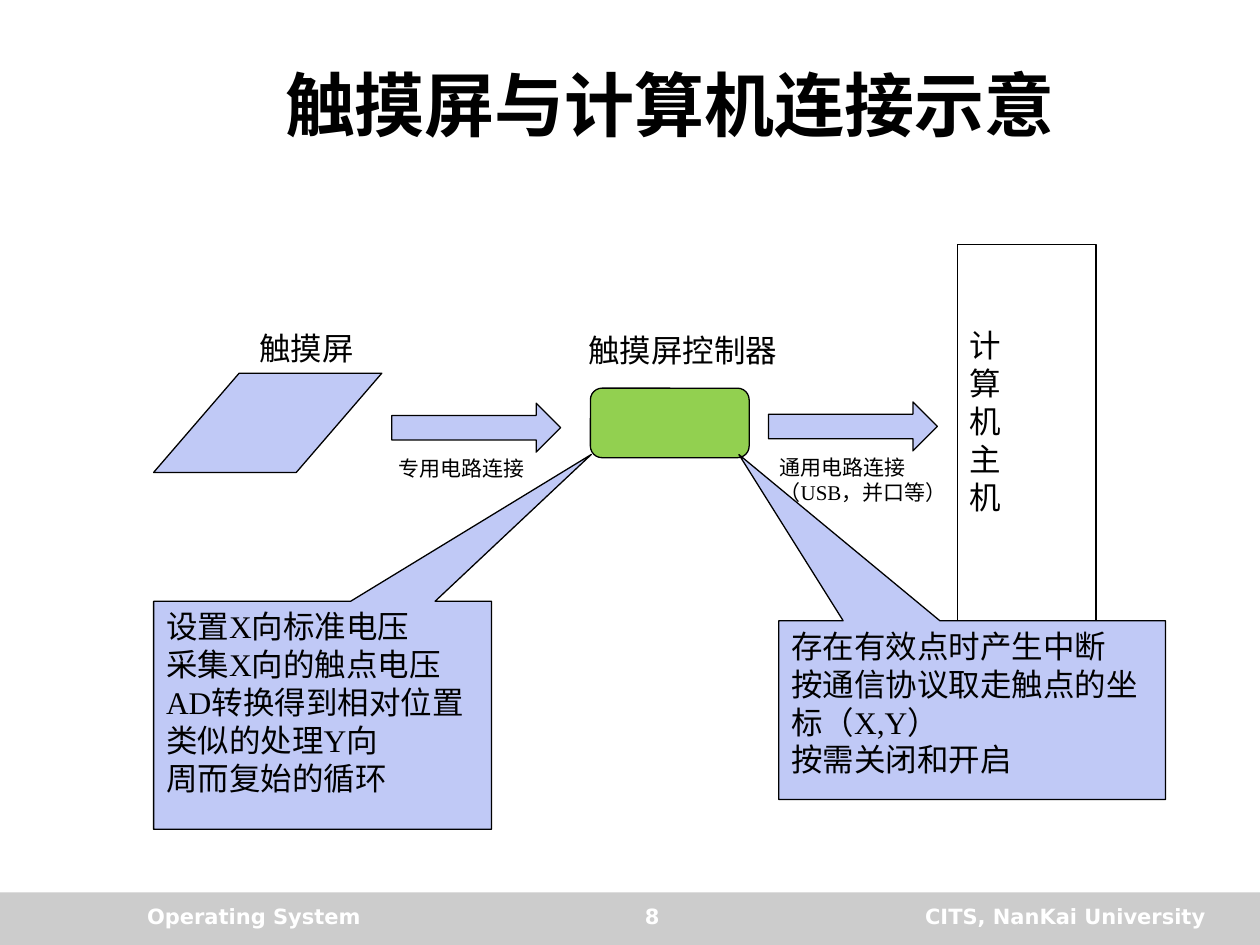
from pptx import Presentation
from pptx.dml.color import RGBColor
from pptx.enum.shapes import MSO_SHAPE as Shape
from pptx.enum.text import MSO_ANCHOR as Anchor, PP_ALIGN as Align
from pptx.util import Pt

BLACK = RGBColor(0x00, 0x00, 0x00)
WHITE = RGBColor(0xFF, 0xFF, 0xFF)
GREY = RGBColor(0xCC, 0xCC, 0xCC)
LILAC = RGBColor(0xC0, 0xC9, 0xF6)
GREEN = RGBColor(0x92, 0xD0, 0x50)
SERIF = "Times New Roman"
SANS = "DejaVu Sans"


class Diagram:
    """Draws styled elements on one slide; all lengths are in points."""

    def __init__(self, slide):
        self.s = slide

    def set_text(self, sp, lines, size, font=SERIF, color=BLACK, bold=False,
                 align=Align.LEFT, anchor=Anchor.TOP):
        tf = sp.text_frame
        tf.word_wrap = True
        tf.vertical_anchor = anchor
        tf.text = "\n".join(lines)
        for p in tf.paragraphs:
            p.alignment = align
            for r in p.runs:
                r.font.name, r.font.size, r.font.bold = font, Pt(size), bold
                r.font.color.rgb = color

    def text(self, box, lines, size=18, **style):
        sp = self.s.shapes.add_textbox(*map(Pt, box))
        self.set_text(sp, lines, size, **style)

    def shape(self, kind, box, fill, adjust=(), line=BLACK):
        sp = self.s.shapes.add_shape(kind, *map(Pt, box))
        sp.shadow.inherit = False
        sp.fill.solid()
        sp.fill.fore_color.rgb = fill
        if line is None:
            sp.line.fill.background()
        else:
            sp.line.color.rgb = line
            sp.line.width = Pt(0.75)
        for i, value in enumerate(adjust):
            sp.adjustments[i] = value
        return sp

    def arrow(self, left, top):
        self.shape(Shape.RIGHT_ARROW, (left, top, 96.5, 28), LILAC)

    def callout(self, box, tip, lines):
        sp = self.shape(Shape.RECTANGULAR_CALLOUT, box, LILAC, tip)
        self.set_text(sp, lines, 18)

    def footer(self, left, width, text, align):
        self.text((left, 512.6, width, 24), [text], 12, font=SANS,
                  color=WHITE, bold=True, align=align)


def main():
    prs = Presentation()
    prs.slide_width, prs.slide_height = Pt(720), Pt(540)
    s = prs.slides.add_slide(prs.slide_layouts[6])
    d = Diagram(s)

    # Footer band and title
    d.shape(Shape.RECTANGLE, (0, 510, 720, 30), GREY, line=None)
    d.footer(77, 198, "Operating System", Align.LEFT)
    d.footer(288.7, 168, "8", Align.CENTER)
    d.footer(468, 228, "CITS, NanKai University", Align.RIGHT)
    d.text((76.3, 23.8, 612.7, 70.6), ["触摸屏与计算机连接示意"], 40,
           bold=True, align=Align.CENTER, anchor=Anchor.MIDDLE)

    # Touch screen, controller and host
    d.shape(Shape.PARALLELOGRAM, (87.8, 213.3, 130.4, 56.7), LILAC, [0.862])
    d.shape(Shape.ROUNDED_RECTANGLE, (337.4, 221.8, 90.7, 39.7), GREEN)
    host = d.shape(Shape.RECTANGLE, (547.2, 139.7, 79.2, 226.8), WHITE)
    d.set_text(host, "计算机主机", 18)
    host.text_frame.margin_top = Pt(46.8)

    # Links between the parts
    d.arrow(223.9, 230.4)
    d.arrow(439.2, 229.7)

    # Labels and step callouts
    d.callout((87.8, 343.6, 193, 130.3), (0.796, -1.144),
              ["设置X向标准电压", "采集X向的触点电压", "AD转换得到相对位置",
               "类似的处理Y向", "周而复始的循环"])
    d.text((329, 185.8, 133.2, 51), ["触摸屏控制器"])
    d.text((141.1, 184.5, 103, 51), ["触摸屏"])
    d.text((220.7, 256.5, 92.2, 21.6), ["专用电路连接"], 12)
    d.text((438.5, 256, 120.2, 36), ["通用电路连接", "（USB，并口等）"], 12)
    d.callout((445, 354.7, 221, 102.2), (-0.603, -1.429),
              ["存在有效点时产生中断", "按通信协议取走触点的坐标（X,Y）",
               "按需关闭和开启"])

    prs.save("out.pptx")


if __name__ == "__main__":
    main()
